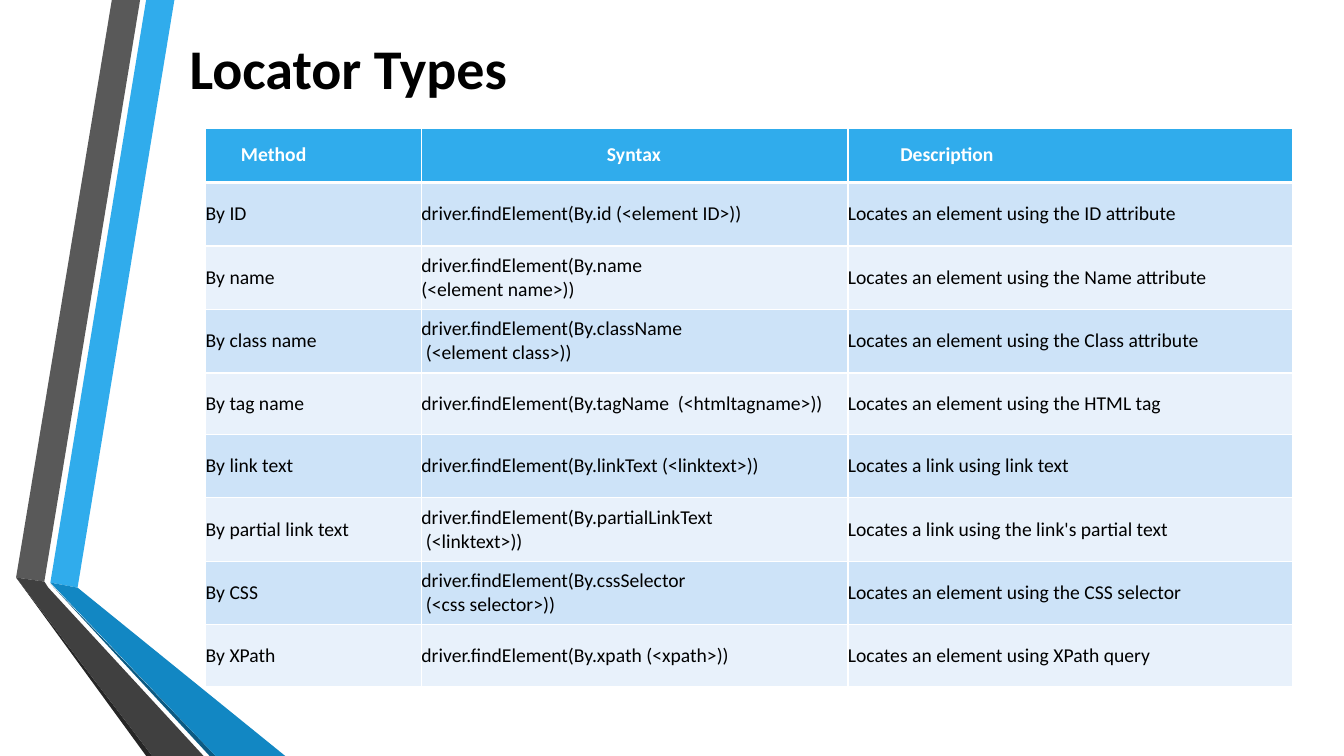
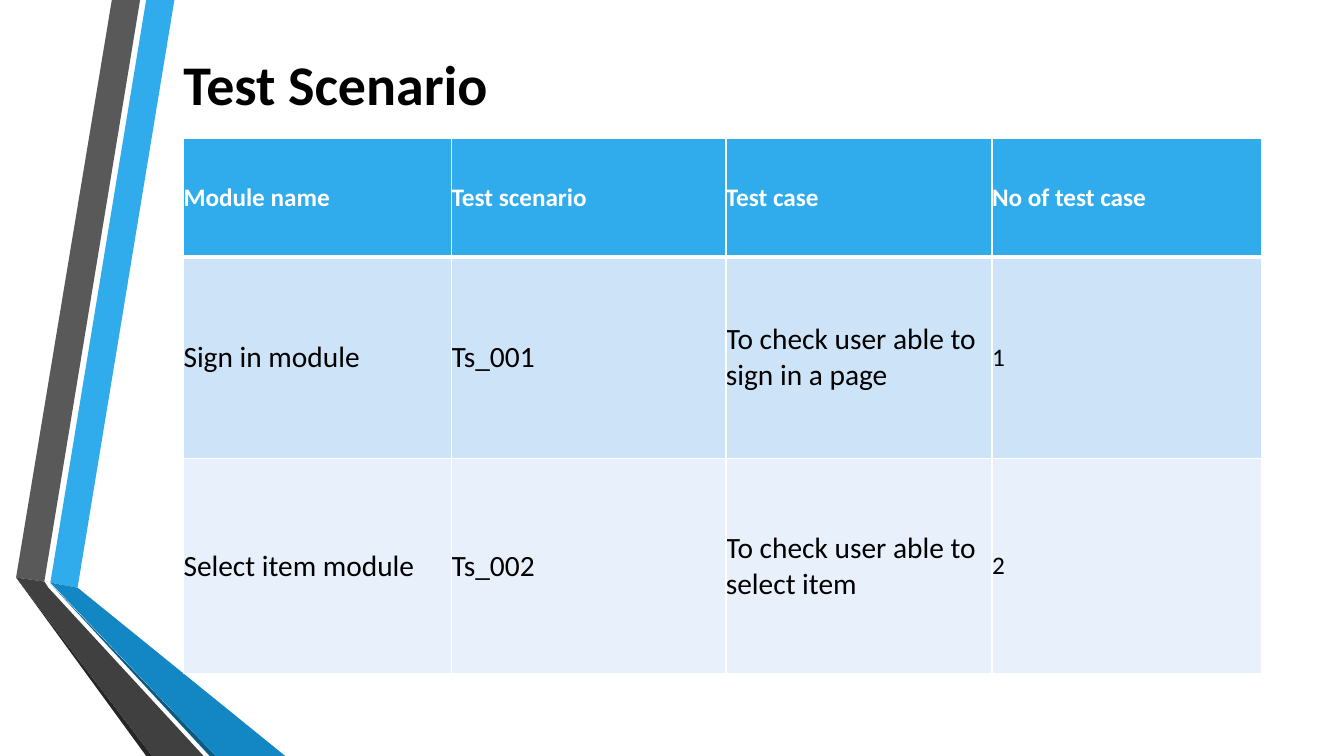
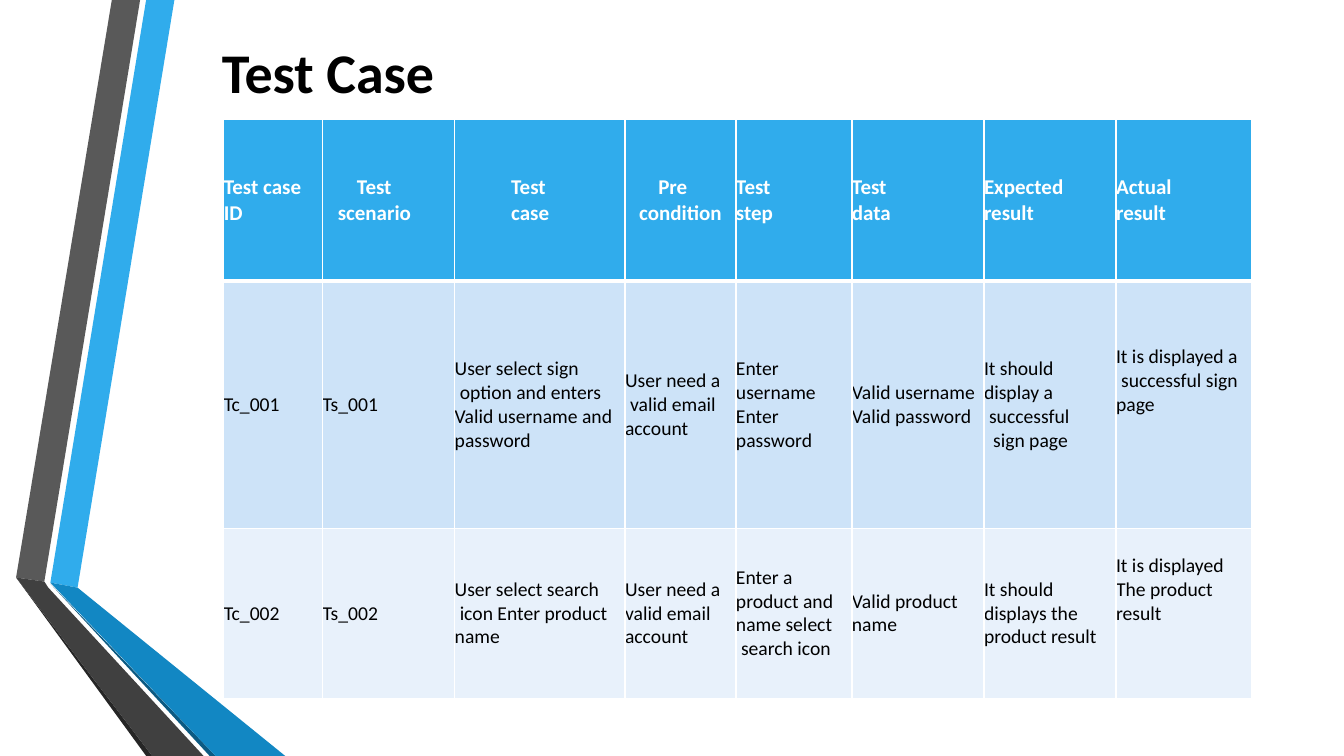
from dataclasses import dataclass
from typing import NamedTuple

from lxml.etree import SubElement
from pptx import Presentation
from pptx.dml.color import RGBColor
from pptx.enum.text import MSO_ANCHOR as Anchor
from pptx.oxml.ns import qn
from pptx.util import Inches, Pt

FONT = "Calibri"
BLACK, WHITE = "000000", "FFFFFF"
BLUE = "30ACEC"
ROW_FILLS = ("CDE3F8", "E8F1FB")
TITLE_SIZE = 40
THIN, THICK = 1, 3


class Ribbon(NamedTuple):
    color: str
    points: tuple[tuple[float, float], ...]


class Line(NamedTuple):
    text: str
    indent: float = 0


@dataclass(frozen=True)
class Cell:
    lines: tuple[Line, ...]
    size: float | None = None
    bottom: float = 0


@dataclass(frozen=True)
class TablePage:
    title: str
    title_at: tuple[float, float]
    table_at: tuple[float, float]
    columns: tuple[float, ...]
    heights: tuple[float, ...]
    header_size: float
    body_size: float
    rows: tuple[tuple[str | Cell, ...], ...]


RIBBONS = (
    Ribbon(BLUE, ((0.5, 5.78), (0.77, 5.83), (1.73, 0), (1.45, 0))),
    Ribbon("595959", ((1.39, 0), (1.11, 0), (0.16, 5.73), (0.44, 5.77))),
    Ribbon("262626", ((0.16, 5.73), (1.45, 7.5), (1.51, 7.5))),
    Ribbon("0C5A82", ((0.5, 5.79), (2.08, 7.5), (2.14, 7.5))),
    Ribbon("1287C3", ((0.5, 5.78), (2.14, 7.5), (2.83, 7.5), (0.77, 5.83))),
    Ribbon("404040", ((2.02, 7.5), (0.48, 5.83), (0.44, 5.77), (0.16, 5.73), (1.51, 7.5))),
)


def indented(*lines: tuple[str, float], bottom: float = 0) -> Cell:
    """Make a cell from (text, left indent) pairs."""
    return Cell(tuple(Line(*line) for line in lines), bottom=bottom)


def plain(text: str, size: float | None = None, bottom: float = 0) -> Cell:
    """Make a cell with one paragraph for each line of text."""
    return Cell(tuple(Line(part) for part in text.split("\n")), size, bottom)


PAGES = (
    TablePage(
        "Locator Types", (1.88, 0.19), (2.04, 1.27),
        (2.14, 4.23, 4.41),
        (0.54, 0.63, 0.63, 0.63, 0.61, 0.63, 0.63, 0.63, 0.61),
        14, 14,
        (
            (indented(("Method", 0.35)), indented(("Syntax", 1.84)),
             indented(("Description", 0.52))),
            ("By ID", "driver.findElement(By.id (<element ID>))",
             "Locates an element using the ID attribute"),
            ("By name", "driver.findElement(By.name\n(<element name>))",
             "Locates an element using the Name attribute"),
            ("By class name", "driver.findElement(By.className\n (<element class>))",
             "Locates an element using the Class attribute"),
            ("By tag name", "driver.findElement(By.tagName  (<htmltagname>))",
             "Locates an element using the HTML tag"),
            ("By link text", "driver.findElement(By.linkText (<linktext>))",
             "Locates a link using link text"),
            ("By partial link text", "driver.findElement(By.partialLinkText\n (<linktext>))",
             "Locates a link using the link's partial text"),
            ("By CSS", "driver.findElement(By.cssSelector\n (<css selector>))",
             "Locates an element using the CSS selector"),
            ("By XPath", "driver.findElement(By.xpath (<xpath>))",
             "Locates an element using XPath query"),
        ),
    ),
    TablePage(
        "Test Scenario", (1.82, 0.34), (1.82, 1.37),
        (2.66, 2.72, 2.64, 2.67),
        (1.18, 2, 2.13),
        18, 21,
        (
            ("Module name", "Test scenario", "Test case", "No of test case"),
            ("Sign in module", "Ts_001", "To check user able to sign in a page",
             plain("1", size=18)),
            ("Select item module", "Ts_002", "To check user able to select item",
             plain("2", size=18)),
        ),
    ),
    TablePage(
        "Test Case", (2.2, 0.23), (2.22, 1.18),
        (0.98, 1.31, 1.69, 1.1, 1.15, 1.31, 1.31, 1.34),
        (1.61, 2.45, 1.69),
        15, 14,
        (
            ("Test case\nID",
             indented(("Test", 0.34), ("scenario", 0.15)),
             indented(("Test", 0.56), ("case", 0.56)),
             indented(("Pre", 0.33), ("condition", 0.14)),
             "Test\nstep", "Test\ndata", "Expected\nresult", "Actual\nresult"),
            ("Tc_001", "Ts_001",
             indented(("User select sign", 0), ("option and enters", 0.05),
                      ("Valid username and", 0), ("password", 0)),
             indented(("User need a", 0), ("valid email", 0.05), ("account", 0)),
             "Enter\nusername\nEnter\npassword",
             "Valid username\nValid password",
             indented(("It should", 0), ("display a", 0),
                      ("successful", 0.05), ("sign page", 0.09)),
             indented(("It is displayed a", 0), ("successful sign", 0.05),
                      ("page", 0), bottom=0.47)),
            ("Tc_002", "Ts_002",
             indented(("User select search", 0), ("icon Enter product", 0.05), ("name", 0)),
             "User need a\nvalid email\naccount",
             indented(("Enter a", 0), ("product and", 0), ("name select", 0),
                      ("search icon", 0.05)),
             "Valid product\nname",
             "It should\ndisplays the\nproduct result",
             plain("It is displayed\nThe product\nresult", bottom=0.47)),
        ),
    ),
)


def rgb(color: str) -> RGBColor:
    return RGBColor.from_string(color)


def add_span(para, text: str, size: float, color: str, bold: bool) -> None:
    span = para.add_run()
    span.text = text
    font = span.font
    font.name, font.size, font.bold = FONT, Pt(size), bold
    font.color.rgb = rgb(color)


def draw_ribbon(page, ribbon: Ribbon) -> None:
    start, *others = [(Inches(x), Inches(y)) for x, y in ribbon.points]
    builder = page.shapes.build_freeform(*start, scale=1.0)
    builder.add_line_segments(others, close=True)
    shape = builder.convert_to_shape()
    shape.shadow.inherit = False
    shape.fill.solid()
    shape.fill.fore_color.rgb = rgb(ribbon.color)
    shape.line.fill.background()


def draw_title(page, text: str, at: tuple[float, float]) -> None:
    left, top = at
    box = page.shapes.add_textbox(Inches(left), Inches(top), Inches(10), Inches(0.96))
    frame = box.text_frame
    frame.word_wrap = True
    frame.vertical_anchor = Anchor.MIDDLE
    frame.margin_left = frame.margin_right = 0
    add_span(frame.paragraphs[0], text, TITLE_SIZE, BLACK, True)


def set_borders(cell, top: float, bottom: float) -> None:
    """Give a cell white borders; top and bottom are widths in points."""
    properties = cell._tc.get_or_add_tcPr()
    for tag, width in (("a:lnL", THIN), ("a:lnR", THIN), ("a:lnT", top), ("a:lnB", bottom)):
        line = SubElement(properties, qn(tag), w=str(Pt(width)))
        fill = SubElement(line, qn("a:solidFill"))
        SubElement(fill, qn("a:srgbClr"), val=WHITE)


def fill_cell(cell, content: Cell, size: float, row: int) -> None:
    header = row == 0
    set_borders(cell, THICK if row == 1 else THIN, THICK if header else THIN)
    cell.fill.solid()
    cell.fill.fore_color.rgb = rgb(BLUE if header else ROW_FILLS[(row - 1) % 2])
    cell.vertical_anchor = Anchor.MIDDLE
    cell.margin_left = cell.margin_right = cell.margin_top = 0
    cell.margin_bottom = Inches(content.bottom)
    frame = cell.text_frame
    for index, line in enumerate(content.lines):
        para = frame.add_paragraph() if index else frame.paragraphs[0]
        if line.indent:
            para._p.get_or_add_pPr().set("marL", str(Inches(line.indent)))
        add_span(para, line.text, content.size or size, WHITE if header else BLACK, header)


def draw_table(page, content: TablePage) -> None:
    left, top = content.table_at
    table = page.shapes.add_table(
        len(content.heights), len(content.columns), Inches(left), Inches(top),
        Inches(sum(content.columns)), Inches(sum(content.heights))).table
    for column, width in zip(table.columns, content.columns):
        column.width = Inches(width)
    for row, (height, values) in enumerate(zip(content.heights, content.rows)):
        table.rows[row].height = Inches(height)
        size = content.body_size if row else content.header_size
        for column, value in enumerate(values):
            text = plain(value) if isinstance(value, str) else value
            fill_cell(table.cell(row, column), text, size, row)


def main() -> None:
    deck = Presentation()
    deck.slide_width, deck.slide_height = Inches(13.33), Inches(7.5)
    blank = deck.slide_layouts[6]
    for content in PAGES:
        page = deck.slides.add_slide(blank)
        for ribbon in RIBBONS:
            draw_ribbon(page, ribbon)
        draw_title(page, content.title, content.title_at)
        draw_table(page, content)
    deck.save("out.pptx")


if __name__ == "__main__":
    main()
